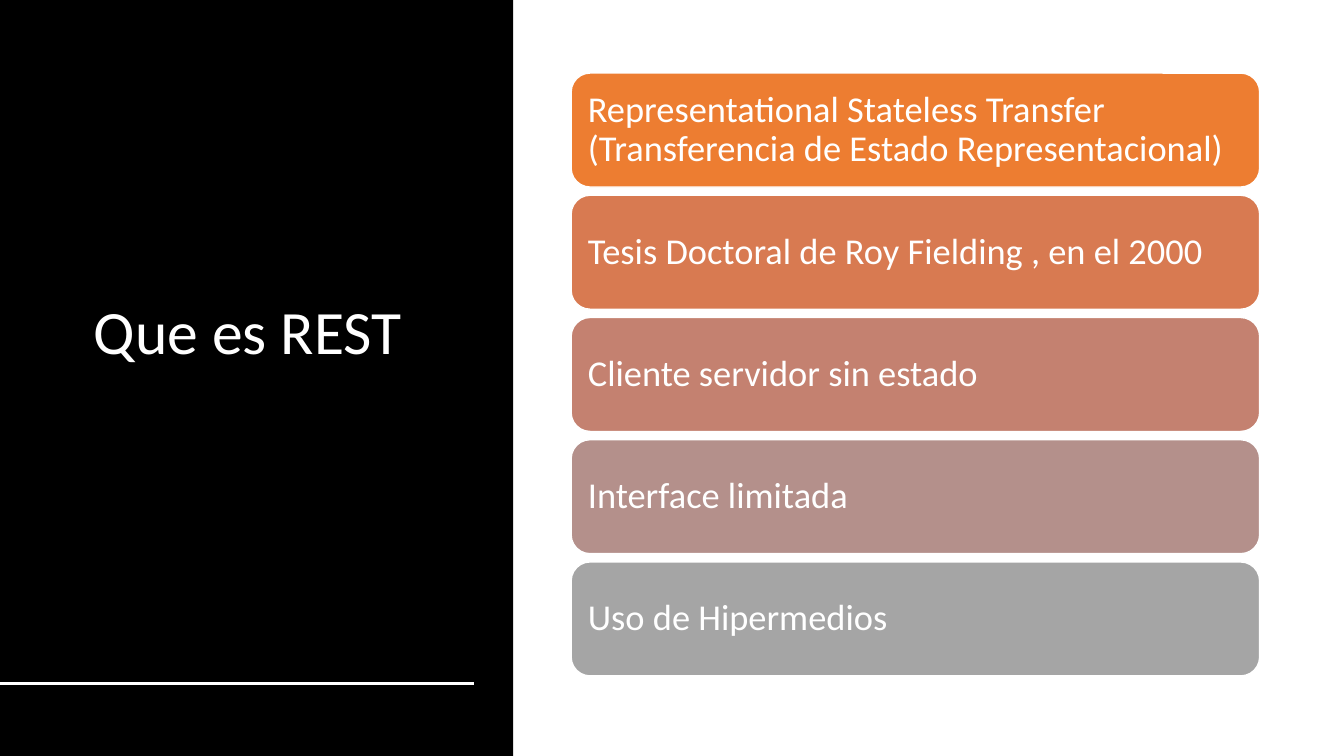
from pptx import Presentation
from pptx.dml.color import RGBColor
from pptx.enum.shapes import MSO_CONNECTOR, MSO_SHAPE
from pptx.enum.text import MSO_ANCHOR, PP_ALIGN
from pptx.oxml.ns import qn
from pptx.util import Pt
from lxml import etree

RECTANGLE = MSO_SHAPE.RECTANGLE
ROUNDED = MSO_SHAPE.ROUNDED_RECTANGLE
STRAIGHT = MSO_CONNECTOR.STRAIGHT
MIDDLE = MSO_ANCHOR.MIDDLE
LEFT = PP_ALIGN.LEFT
WHITE = "FFFFFF"


def color(value):
    return RGBColor.from_string(value)


def write(shape, text, size, inset_x, inset_y):
    frame = shape.text_frame
    frame.word_wrap = True
    frame.vertical_anchor = MIDDLE
    frame.margin_left = frame.margin_right = Pt(inset_x)
    frame.margin_top = frame.margin_bottom = Pt(inset_y)
    frame.text = text
    paragraph = frame.paragraphs[0]
    paragraph.alignment = LEFT
    paragraph.line_spacing = 0.9
    font = paragraph.runs[0].font
    font.name = "Calibri"
    font.size = Pt(size)
    font.color.rgb = color(WHITE)


presentation = Presentation()
presentation.slide_width = Pt(960)
presentation.slide_height = Pt(540)
slide = presentation.slides.add_slide(presentation.slide_layouts[6])

# Black panel on the left
panel = slide.shapes.add_shape(RECTANGLE, Pt(0), Pt(0), Pt(366.5), Pt(540))
panel.shadow.inherit = False
panel.fill.solid()
panel.fill.fore_color.rgb = color("000000")
panel.line.fill.background()

# Title
title = slide.shapes.add_textbox(Pt(60), Pt(44), Pt(281), Pt(390))
write(title, "Que es REST", 44, 7.2, 3.6)

# Rule under the title
rule = slide.shapes.add_connector(STRAIGHT, Pt(0), Pt(488), Pt(338.4), Pt(488))
rule.line.color.rgb = color(WHITE)
rule.line.width = Pt(2)
etree.SubElement(rule._element.spPr, qn("a:effectLst"))

# Stacked cards
CARD_TOP, CARD_HEIGHT, CARD_STEP = 52.2, 81.4, 87.3
cards = [
    ("Representational Stateless Transfer (Transferencia de Estado Representacional)", "ED7D31"),
    ("Tesis Doctoral de Roy Fielding , en el 2000", "D87A51"),
    ("Cliente servidor sin estado", "C48170"),
    ("Interface limitada", "B4908B"),
    ("Uso de Hipermedios", "A5A5A5"),
]
for index, (text, fill) in enumerate(cards):
    card = slide.shapes.add_shape(
        ROUNDED, Pt(408), Pt(CARD_TOP + index * CARD_STEP), Pt(491.8), Pt(CARD_HEIGHT))
    card.shadow.inherit = False
    card.fill.solid()
    card.fill.fore_color.rgb = color(fill)
    card.line.color.rgb = color(WHITE)
    card.line.width = Pt(1)
    write(card, text, 26, 8, 8)

presentation.save("out.pptx")
